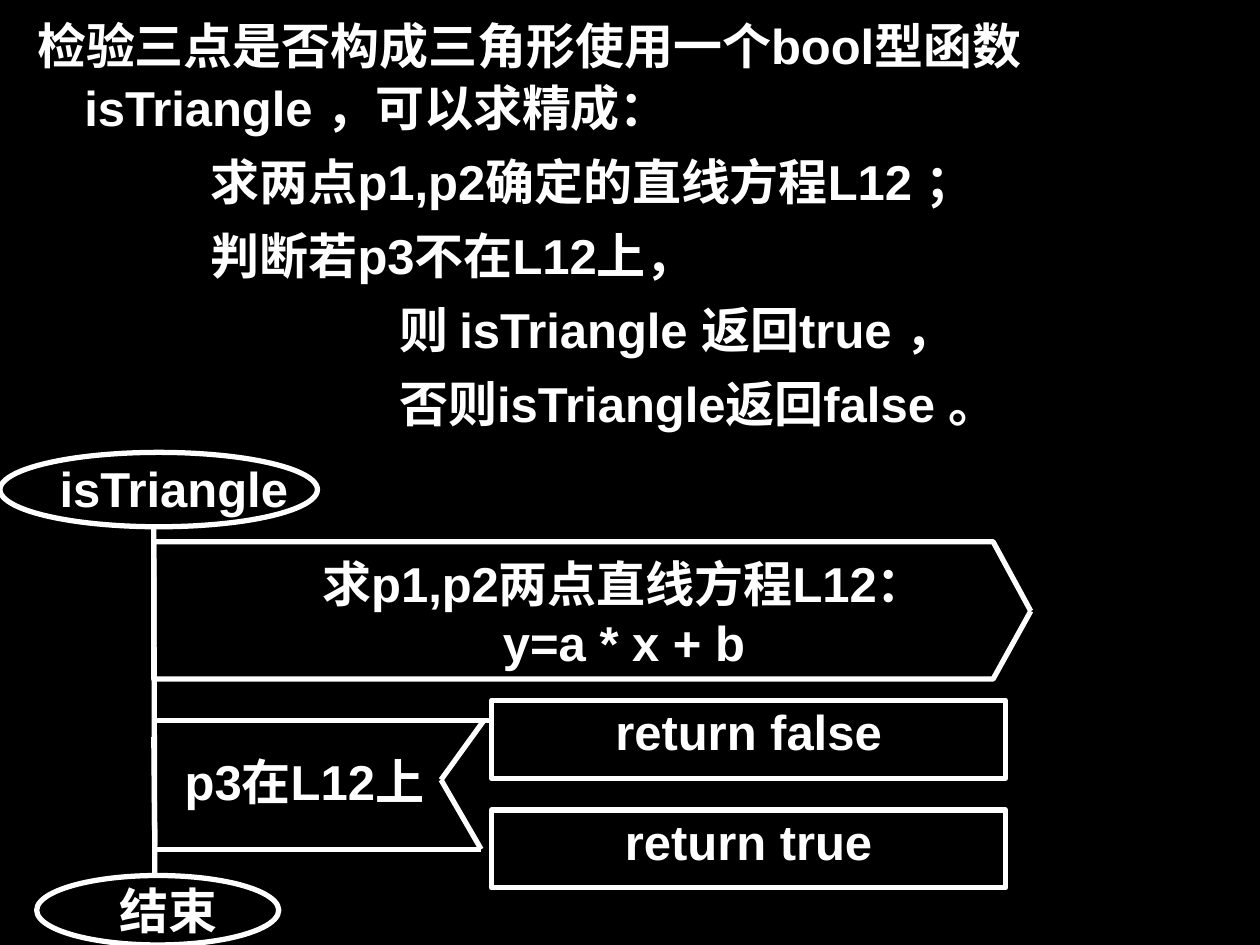
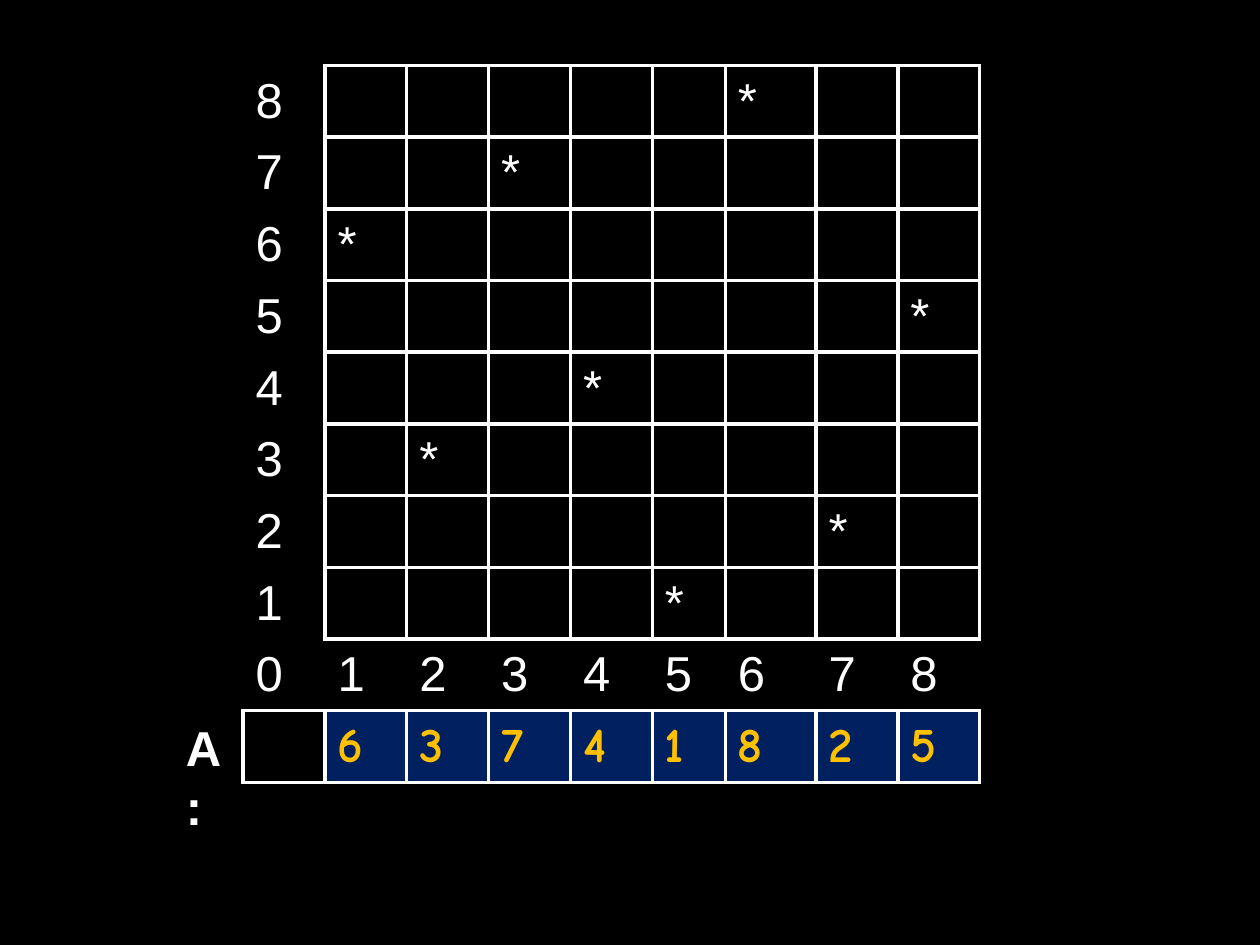
from lxml import etree
from pptx import Presentation
from pptx.dml.color import RGBColor
from pptx.enum.shapes import MSO_CONNECTOR, MSO_SHAPE
from pptx.enum.text import MSO_ANCHOR, PP_ALIGN
from pptx.oxml.ns import qn
from pptx.util import Cm, Pt

BLACK = RGBColor(0x00, 0x00, 0x00)
WHITE = RGBColor(0xFF, 0xFF, 0xFF)
NAVY = RGBColor(0x00, 0x20, 0x60)
GOLD = RGBColor(0xFF, 0xC0, 0x00)

STRAIGHT = MSO_CONNECTOR.STRAIGHT
OVAL = MSO_SHAPE.OVAL
RECTANGLE = MSO_SHAPE.RECTANGLE
TOP = MSO_ANCHOR.TOP
MIDDLE = MSO_ANCHOR.MIDDLE
LEFT = PP_ALIGN.LEFT
CENTER = PP_ALIGN.CENTER

BODY_FONT = "Arial"
ANSWER_FONT = "Comic Neue"
TEXT_SIZE = Pt(28)
LINE_WIDTH = Pt(3)
BORDER_WIDTH = Pt(2.21)
TIGHT = (Cm(0.03), Cm(0.03))
ROOMY = (Cm(0.25), Cm(0.13))

ALGORITHM = (
    ("检验三点是否构成三角形使用一个bool型函数isTriangle ，可以求精成：", 0.95, -0.95),
    ("求两点p1,p2确定的直线方程L12 ；", 3.5, 0),
    ("判断若p3不在L12上，", 3.5, 0),
    ("则 isTriangle 返回true ，", 7.3, 0),
    ("否则isTriangle返回false 。", 7.3, 0),
)

QUEEN_ROWS = (6, 3, 7, 4, 1, 8, 2, 5)
BOARD_SIZE = len(QUEEN_ROWS)
AXIS_ROW = BOARD_SIZE
ANSWER_ROW = BOARD_SIZE + 1
COLUMN_WIDTHS = (1.65,) * 5 + (1.47, 1.83) + (1.65,) * 2
BORDER_SIDES = (("a:lnL", 0, -1), ("a:lnR", 0, 1), ("a:lnT", -1, 0), ("a:lnB", 1, 0))


def write_text(paragraph, text, *, font=BODY_FONT, color=WHITE, bold=True,
               alignment=LEFT, margin=0, indent=0, line_spacing=None,
               space_before=None, space_after=None):
    paragraph.text = text
    paragraph.alignment = alignment
    paragraph.line_spacing = line_spacing
    paragraph.space_before = space_before
    paragraph.space_after = space_after
    if margin:
        properties = paragraph._p.get_or_add_pPr()
        properties.set("marL", str(Cm(margin)))
        properties.set("indent", str(Cm(indent)))
    paragraph.font.name = font
    paragraph.font.size = TEXT_SIZE
    paragraph.font.bold = bold
    paragraph.font.color.rgb = color


def prepare_frame(shape, insets):
    frame = shape.text_frame
    frame.word_wrap = True
    frame.vertical_anchor = TOP
    frame.margin_left = frame.margin_right = insets[0]
    frame.margin_top = frame.margin_bottom = insets[1]
    return frame


def write_lines(shape, lines, insets=TIGHT, **text_format):
    frame = prepare_frame(shape, insets)
    for index, line in enumerate(lines):
        paragraph = frame.add_paragraph() if index else frame.paragraphs[0]
        write_text(paragraph, line, **text_format)


def add_outline(shape):
    shape.shadow.inherit = False
    shape.fill.background()
    shape.line.color.rgb = WHITE
    shape.line.width = LINE_WIDTH


def add_slide(presentation):
    slide = presentation.slides.add_slide(presentation.slide_layouts[6])
    slide.background.fill.solid()
    slide.background.fill.fore_color.rgb = BLACK
    return slide


def add_algorithm(slide, left, top, width, height):
    box = slide.shapes.add_textbox(Cm(left), Cm(top), Cm(width), Cm(height))
    frame = prepare_frame(box, ROOMY)
    for index, (line, margin, indent) in enumerate(ALGORITHM):
        paragraph = frame.add_paragraph() if index else frame.paragraphs[0]
        write_text(paragraph, line, margin=margin, indent=indent, line_spacing=1.05,
                   space_before=Pt(3.5) if index else None, space_after=Pt(3.5))


def add_flowchart(slide, left, top):
    def place(x, y):
        return Cm(left + x), Cm(top + y)

    def add_label(x, y, width, height, *lines):
        box = slide.shapes.add_textbox(*place(x, y), Cm(width), Cm(height))
        write_lines(box, lines, alignment=CENTER)

    def add_shape(kind, x, y, width, height):
        shape = slide.shapes.add_shape(kind, *place(x, y), Cm(width), Cm(height))
        add_outline(shape)
        return shape

    def add_line(start, end):
        line = slide.shapes.add_connector(STRAIGHT, *place(*start), *place(*end))
        line.line.color.rgb = WHITE
        line.line.width = LINE_WIDTH
        etree.SubElement(line._element.spPr, qn("a:effectLst"))

    trunk = 3.1
    trunk_foot = 3.12
    end_top = 8.53
    branch_top, branch_middle, branch_bottom = 5.41, 6.6, 8.0
    notch = (8.89, branch_middle)
    result_left = 9.91

    add_label(3.51, 2.01, 18.14, 2.59, "求p1,p2两点直线方程L12：", "y=a * x + b")
    for start, edge in ((2.51, 4.57), (3.89, 1.8)):
        builder = slide.shapes.build_freeform(*place(trunk, start), scale=1.0)
        corners = ((trunk, edge), (20.02, edge), (20.78, 3.2))
        builder.add_line_segments([place(*corner) for corner in corners], close=False)
        add_outline(builder.convert_to_shape())

    add_label(0, 0.1, 7.01, 1.4, "isTriangle")
    add_shape(OVAL, 0, 0, 6.4, 1.5)
    add_line((trunk, 1.5), (trunk_foot, end_top))
    add_label(0.74, 8.61, 5.33, 1.32, "结束")
    add_shape(OVAL, 0.74, end_top, 4.88, 1.4)

    add_line((trunk, branch_top), (result_left, branch_top))
    add_line((trunk, branch_bottom), (9.7, branch_bottom))
    add_line((9.75, branch_top), notch)
    add_line((9.7, branch_bottom), notch)
    add_line((trunk, 5.74), (trunk_foot, 7.92))
    add_label(trunk, 5.99, 6.07, 1.3, "p3在L12上")

    for y, result in ((5.0, "return false"), (7.21, "return true")):
        box = add_shape(RECTANGLE, result_left, y, 10.36, 1.57)
        write_lines(box, [result], alignment=CENTER)


def is_framed(row, column):
    if row == ANSWER_ROW:
        return 0 <= column <= BOARD_SIZE
    return 0 <= row < BOARD_SIZE and 1 <= column <= BOARD_SIZE


def set_borders(cell, row, column):
    properties = cell._tc.get_or_add_tcPr()
    for tag, row_step, column_step in BORDER_SIDES:
        border = etree.SubElement(properties, qn(tag), w=str(BORDER_WIDTH))
        if is_framed(row, column) or is_framed(row + row_step, column + column_step):
            fill = etree.SubElement(border, qn("a:solidFill"))
            etree.SubElement(fill, qn("a:srgbClr"), val=str(WHITE))
        else:
            etree.SubElement(border, qn("a:noFill"))


def board_text(row, column):
    if row == AXIS_ROW:
        return str(column)
    if row == ANSWER_ROW:
        return str(QUEEN_ROWS[column - 1]) if column else ""
    rank = BOARD_SIZE - row
    if column == 0:
        return str(rank)
    return "*" if QUEEN_ROWS[column - 1] == rank else ""


def add_board(slide, left, top, height):
    frame = slide.shapes.add_table(
        BOARD_SIZE + 2, BOARD_SIZE + 1,
        Cm(left), Cm(top), Cm(sum(COLUMN_WIDTHS)), Cm(height))
    table = frame.table
    table.first_row = False
    table.horz_banding = False
    for column, width in zip(table.columns, COLUMN_WIDTHS):
        column.width = Cm(width)
    for row in range(BOARD_SIZE + 2):
        for column in range(BOARD_SIZE + 1):
            cell = table.cell(row, column)
            cell.vertical_anchor = MIDDLE
            set_borders(cell, row, column)
            is_answer = row == ANSWER_ROW and column > 0
            if is_answer:
                cell.fill.solid()
                cell.fill.fore_color.rgb = NAVY
            else:
                cell.fill.background()
            write_text(cell.text_frame.paragraphs[0], board_text(row, column),
                       font=ANSWER_FONT if is_answer else BODY_FONT,
                       color=GOLD if is_answer else WHITE, bold=is_answer)


def add_array_name(slide, left, top, width, height):
    box = slide.shapes.add_textbox(Cm(left), Cm(top), Cm(width), Cm(height))
    write_lines(box, ["A:"], ROOMY)


def main():
    presentation = Presentation()
    presentation.slide_width = Cm(25.4)
    presentation.slide_height = Cm(19.05)

    triangle_slide = add_slide(presentation)
    add_algorithm(triangle_slide, 0.5, 0.13, 23.6, 8.7)
    add_flowchart(triangle_slide, 0, 9.12)

    queens_slide = add_slide(presentation)
    add_board(queens_slide, 4.9, 1.32, 14.45)
    add_array_name(queens_slide, 3.5, 14.33, 1.4, 2.64)

    presentation.save("out.pptx")


if __name__ == "__main__":
    main()
